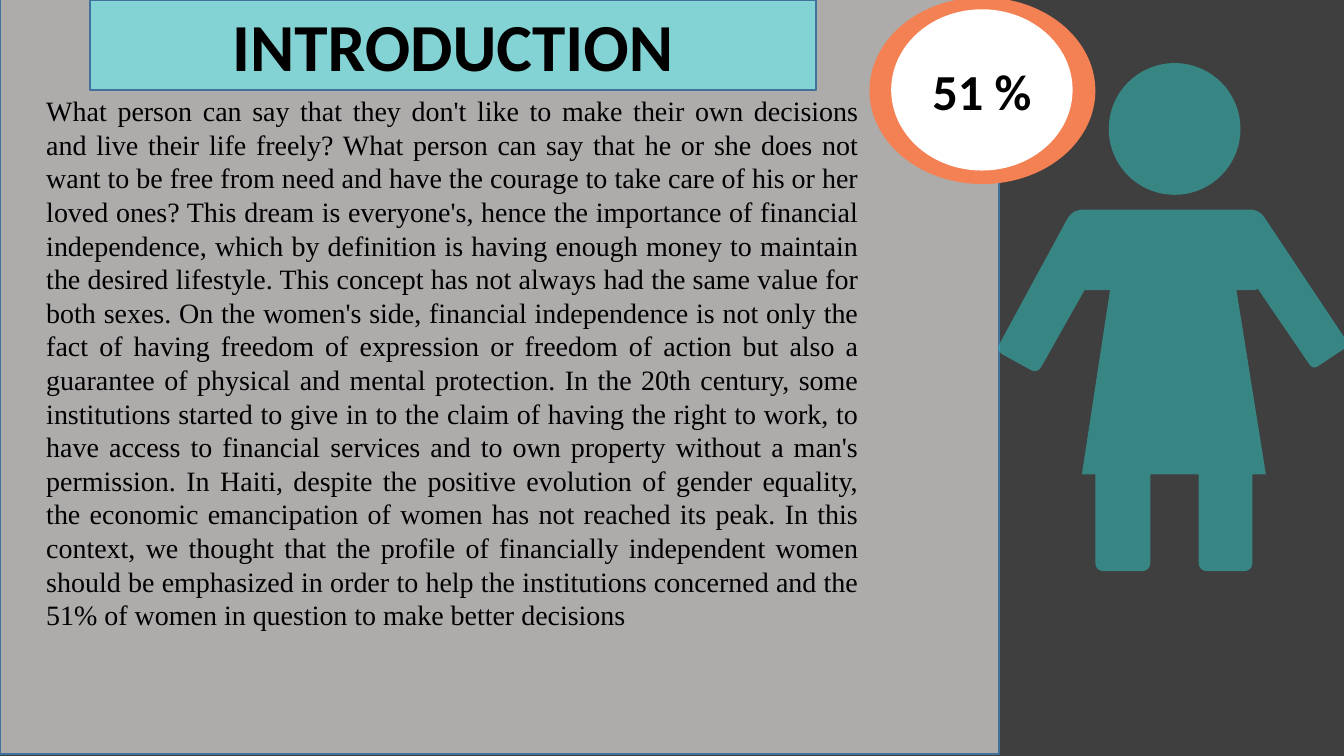
from dataclasses import dataclass
from math import cos, hypot, pi, sin
from typing import NamedTuple, Optional

from lxml.etree import SubElement
from pptx import Presentation
from pptx.dml.color import RGBColor
from pptx.enum.shapes import MSO_SHAPE as Preset
from pptx.enum.text import MSO_ANCHOR as Anchor, PP_ALIGN as Align
from pptx.oxml.ns import qn
from pptx.shapes.autoshape import Shape
from pptx.slide import Slide
from pptx.util import Pt


@dataclass(frozen=True)
class Theme:
    backdrop: str = "3F3F3F"
    panel: str = "AEABAB"
    border: str = "42719B"
    banner: str = "83D3D4"
    ring: str = "F48153"
    disc: str = "FFFFFF"
    woman: str = "30CECA"
    ink: str = "000000"
    heading_font: str = "Calibri"
    body_font: str = "Times New Roman"
    title_size: float = 36
    percent_size: float = 27
    body_size: float = 15


THEME = Theme()


class Box(NamedTuple):
    left: float
    top: float
    width: float
    height: float


class Label(NamedTuple):
    words: str
    size: float
    font: str = THEME.heading_font
    bold: bool = True
    align: Align = Align.CENTER
    anchor: Anchor = Anchor.MIDDLE


class Block(NamedTuple):
    preset: Preset
    box: Box
    fill: str
    bordered: bool = False
    label: Optional[Label] = None


class Corner(NamedTuple):
    x: float
    y: float
    cut: float = 0


SENTENCES = [
    "What person can say that they don't like to make their own decisions and live their life freely?",
    "What person can say that he or she does not want to be free from need and have the courage to take "
    "care of his or her loved ones?",
    "This dream is everyone's, hence the importance of financial independence, which by definition is "
    "having enough money to maintain the desired lifestyle.",
    "This concept has not always had the same value for both sexes.",
    "On the women's side, financial independence is not only the fact of having freedom of expression or "
    "freedom of action but also a guarantee of physical and mental protection.",
    "In the 20th century, some institutions started to give in to the claim of having the right to work, "
    "to have access to financial services and to own property without a man's permission.",
    "In Haiti, despite the positive evolution of gender equality, the economic emancipation of women has "
    "not reached its peak.",
    "In this context, we thought that the profile of financially independent women should be emphasized "
    "in order to help the institutions concerned and the 51% of women in question to make better decisions",
]

PANEL = Block(Preset.RECTANGLE, Box(0, -0.7, 535, 404.6), THEME.panel, bordered=True)
RING = Block(Preset.OVAL, Box(465.8, -1.4, 121, 100), THEME.ring)
DISC = Block(Preset.OVAL, Box(477.4, 5, 97.2, 86.4), THEME.disc,
             label=Label("51 %", THEME.percent_size))
BANNER = Block(Preset.RECTANGLE, Box(48.2, 0, 388.8, 48.2), THEME.banner, bordered=True,
               label=Label("INTRODUCTION", THEME.title_size))
BODY_BOX = Box(19.4, 47.5, 446.4, 296)
BODY = Label(" ".join(SENTENCES), THEME.body_size, THEME.body_font, False, Align.JUSTIFY, Anchor.TOP)

SHOULDER_Y, ARMPIT_Y, HEM_Y, FOOT_Y = 112.3, 155.5, 254.2, 306
WOMAN_BODY = [
    Corner(574.5, SHOULDER_Y, 6), Corner(674.6, SHOULDER_Y, 5),
    Corner(723, 185, 3.5), Corner(703.4, 198, 3.5),
    Corner(673.9, 154.8), Corner(671.8, ARMPIT_Y), Corner(662.4, ARMPIT_Y),
    Corner(678.2, HEM_Y), Corner(671, HEM_Y),
    Corner(671, FOOT_Y, 5), Corner(642.2, FOOT_Y, 5),
    Corner(642.2, HEM_Y), Corner(616.3, HEM_Y),
    Corner(616.3, FOOT_Y, 5), Corner(586.8, FOOT_Y, 5),
    Corner(586.8, HEM_Y), Corner(579.6, HEM_Y),
    Corner(594.7, ARMPIT_Y), Corner(581, ARMPIT_Y),
    Corner(555.8, 200.2, 4.5), Corner(533.5, 187.9, 4.5),
]
HEAD_X, HEAD_Y, HEAD_RADIUS = 629.3, 69.1, 35.3


def rgb(code: str) -> RGBColor:
    return RGBColor.from_string(code)


def write(shape: Shape, label: Label) -> None:
    frame = shape.text_frame
    frame.word_wrap = True
    frame.vertical_anchor = label.anchor
    frame.margin_left = frame.margin_right = Pt(5.4)
    frame.margin_top = frame.margin_bottom = Pt(2.7)
    paragraph = frame.paragraphs[0]
    paragraph.text = label.words
    paragraph.alignment = label.align
    font = paragraph.font
    font.name, font.size, font.bold = label.font, Pt(label.size), label.bold
    font.color.rgb = rgb(THEME.ink)


def paint(shape: Shape, fill: str, bordered: bool = False) -> None:
    shape.shadow.inherit = False
    shape.fill.solid()
    shape.fill.fore_color.rgb = rgb(fill)
    if bordered:
        shape.line.color.rgb = rgb(THEME.border)
        shape.line.width = Pt(1)
    else:
        shape.line.fill.background()


def add_block(shapes, block: Block) -> None:
    shape = shapes.add_shape(block.preset, *map(Pt, block.box))
    paint(shape, block.fill, block.bordered)
    if block.label:
        write(shape, block.label)


def rounded(corners: list[Corner], steps: int = 6) -> list[tuple[int, int]]:
    """Outline of a polygon whose corners are bent from `cut` points before to `cut` points after."""
    outline = []
    for i, corner in enumerate(corners):
        if not corner.cut:
            outline.append((Pt(corner.x), Pt(corner.y)))
            continue
        ends = []
        for other in (corners[i - 1], corners[(i + 1) % len(corners)]):
            dx, dy = other.x - corner.x, other.y - corner.y
            share = corner.cut / hypot(dx, dy)
            ends.append((corner.x + dx * share, corner.y + dy * share))
        (ax, ay), (bx, by) = ends
        for step in range(steps + 1):
            t = step / steps
            a, c, b = (1 - t) ** 2, 2 * t * (1 - t), t ** 2
            outline.append((Pt(a * ax + c * corner.x + b * bx), Pt(a * ay + c * corner.y + b * by)))
    return outline


def circle(x: float, y: float, radius: float, steps: int = 72) -> list[tuple[int, int]]:
    angles = (2 * pi * step / steps for step in range(steps))
    return [(Pt(x + radius * cos(a)), Pt(y + radius * sin(a))) for a in angles]


def add_woman(slide: Slide) -> None:
    body = rounded(WOMAN_BODY)
    head = circle(HEAD_X, HEAD_Y, HEAD_RADIUS)
    builder = slide.shapes.build_freeform(*body[0])
    builder.add_line_segments(body[1:], close=True)
    builder.move_to(*head[0])
    builder.add_line_segments(head[1:], close=True)
    woman = builder.convert_to_shape()
    paint(woman, THEME.woman)
    color = woman.fill._xPr.find(qn("a:solidFill"))[0]
    SubElement(color, qn("a:alpha")).set("val", "50000")


def main() -> None:
    deck = Presentation()
    deck.slide_width, deck.slide_height = Pt(720), Pt(405)
    slide = deck.slides.add_slide(deck.slide_layouts[6])
    slide.background.fill.solid()
    slide.background.fill.fore_color.rgb = rgb(THEME.backdrop)

    add_block(slide.shapes, PANEL)
    add_woman(slide)
    badge = slide.shapes.add_group_shape()
    for block in (RING, DISC):
        add_block(badge.shapes, block)
    add_block(slide.shapes, BANNER)
    write(slide.shapes.add_textbox(*map(Pt, BODY_BOX)), BODY)

    deck.save("out.pptx")


if __name__ == "__main__":
    main()
